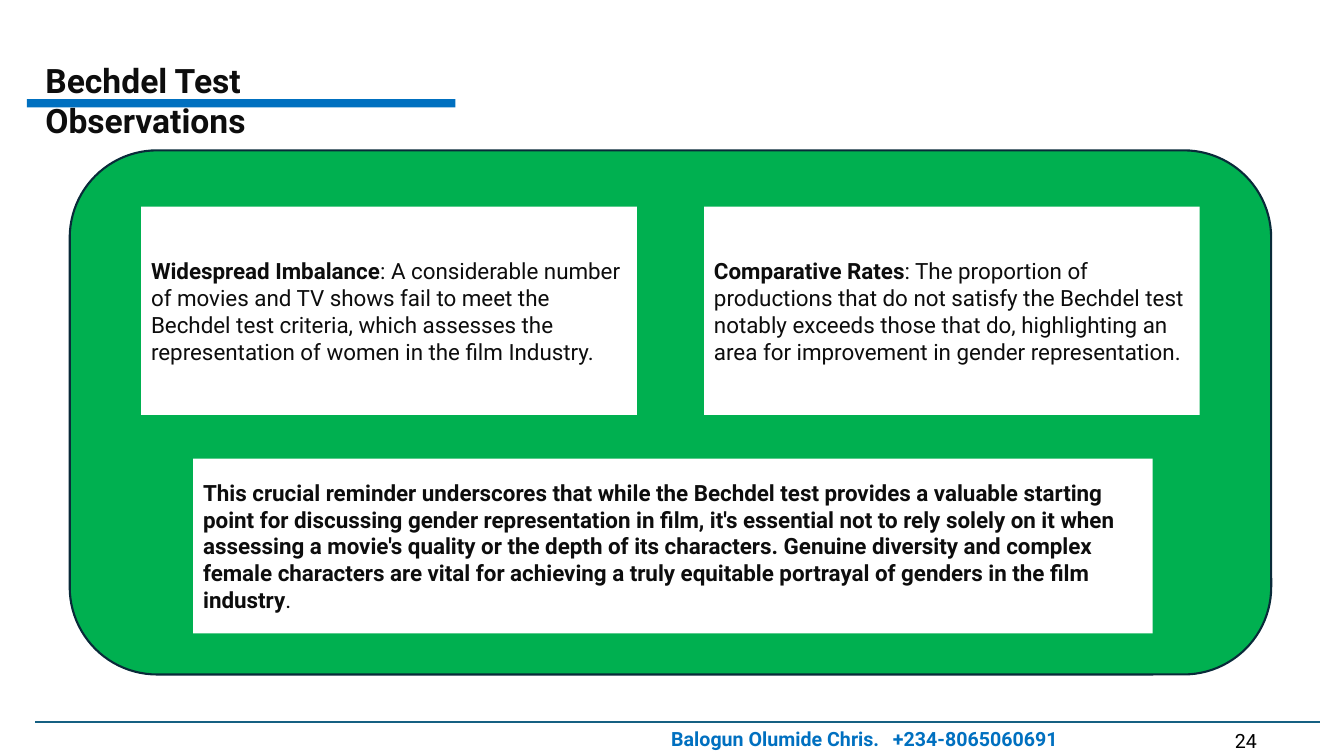
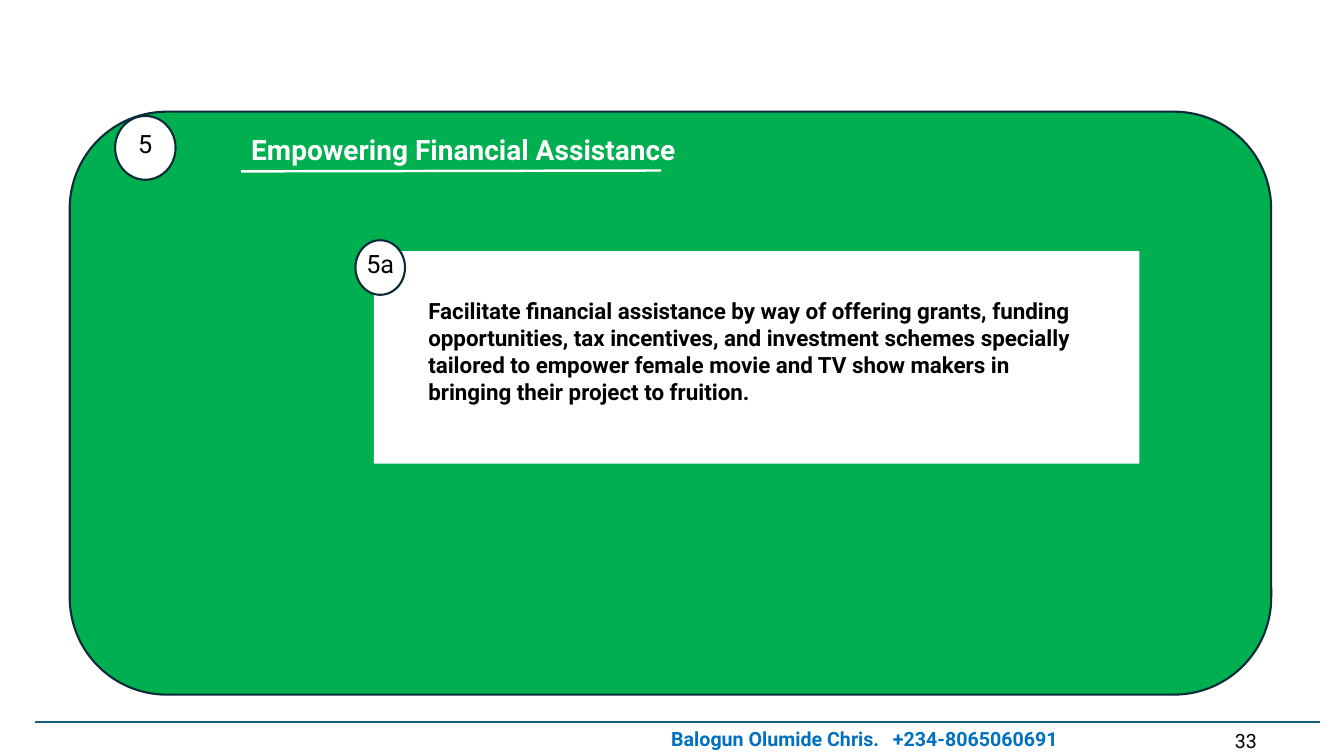
from dataclasses import dataclass

from lxml import etree
from pptx import Presentation
from pptx import util as u
from pptx.dml.color import RGBColor
from pptx.enum import shapes, text
from pptx.oxml.ns import qn

SLIDE_WIDTH = u.Inches(13.33)
SLIDE_HEIGHT = u.Inches(7.5)
CELL = SLIDE_HEIGHT / 90

FONT = "Roboto"
WHITE = RGBColor(0xFF, 0xFF, 0xFF)
BLACK = RGBColor(0, 0, 0)
INK = RGBColor(0x0D, 0x0D, 0x0D)
GREEN = RGBColor(0x00, 0xB0, 0x50)
BLUE = RGBColor(0x00, 0x70, 0xC0)
TEAL = RGBColor(0x15, 0x60, 0x82)
OUTLINE = RGBColor(0x09, 0x2A, 0x39)

RECTANGLE = shapes.MSO_SHAPE.RECTANGLE
ROUNDED = shapes.MSO_SHAPE.ROUNDED_RECTANGLE
OVAL = shapes.MSO_SHAPE.OVAL
TOP = text.MSO_ANCHOR.TOP
MIDDLE = text.MSO_ANCHOR.MIDDLE
LEFT = text.PP_ALIGN.LEFT
CENTER = text.PP_ALIGN.CENTER


@dataclass
class Box:
    column: float
    row: float
    columns: float
    rows: float

    def inner(self, column, row, columns, rows):
        return Box(self.column + column, self.row + row, columns, rows)

    def lengths(self):
        return [round(value * CELL) for value in (self.column, self.row, self.columns, self.rows)]


PAGE = Box(0, 0, 160, 90)


def write(shape, runs, size, color, anchor=TOP, align=LEFT, wrap=True):
    frame = shape.text_frame
    frame.word_wrap = wrap
    frame.auto_size = text.MSO_AUTO_SIZE.NONE
    frame.vertical_anchor = anchor
    paragraph = frame.paragraphs[0]
    paragraph.alignment = align
    paragraph.line_spacing = 1.0
    for words, bold in runs:
        run = paragraph.add_run()
        run.text = words
        run.font.name = FONT
        run.font.size = u.Pt(size)
        run.font.bold = bold
        run.font.color.rgb = color
    return paragraph


def add_block(slide, box, kind, fill, outline=None):
    shape = slide.shapes.add_shape(kind, *box.lengths())
    shape.shadow.inherit = False
    shape.fill.solid()
    shape.fill.fore_color.rgb = fill
    if outline is None:
        shape.line.fill.background()
    else:
        shape.line.color.rgb = outline
        shape.line.width = u.Pt(1.5)
    return shape


def add_label(slide, box, words, size, color, bold=False):
    label = slide.shapes.add_textbox(*box.lengths())
    return write(label, [(words, bold)], size, color)


def add_rule(slide, box, color, width):
    left, top, across, down = box.lengths()
    rule = slide.shapes.add_connector(
        shapes.MSO_CONNECTOR.STRAIGHT, left, top, left + across, top + down)
    rule.line.color.rgb = color
    rule.line.width = u.Pt(width)
    etree.SubElement(rule._element.spPr, qn("a:effectLst"))


def add_title(slide, box, words, size, color):
    title = slide.shapes.title
    title.left, title.top, title.width, title.height = box.lengths()
    write(title, [(words, True)], size, color)
    tree = title._element.getparent()
    tree.append(title._element)


def add_panel(slide, box):
    add_block(slide, box, ROUNDED, GREEN, OUTLINE)


def add_card(slide, box, runs):
    card = add_block(slide, box, RECTANGLE, WHITE)
    write(card, runs, 16, INK, MIDDLE)


def add_badge(slide, box, words):
    badge = add_block(slide, box, OVAL, WHITE, OUTLINE)
    write(badge, [(words, False)], 18, BLACK, MIDDLE, CENTER, wrap=False)
    frame = badge.text_frame
    frame.margin_left = frame.margin_right = frame.margin_top = 0
    frame.margin_bottom = u.Inches(0.09)


def add_footer(slide, box, number):
    add_rule(slide, box.inner(0, 0, box.columns, 0), TEAL, 1.5)
    contact = add_label(slide, box.inner(74.5, 0, 49, 4.1),
                        "Balogun Olumide Chris.\t+234-8065060691", 14, BLUE, True)
    tabs = etree.SubElement(contact._p.get_or_add_pPr(), qn("a:tabLst"))
    etree.SubElement(tabs, qn("a:tab"), pos=str(u.Inches(2.2)), algn="l")
    add_label(slide, box.inner(141.6, 0.3, 5.6, 4.1), str(number), 14, BLACK)


def add_page(presentation, number):
    slide = presentation.slides.add_slide(presentation.slide_layouts[5])
    add_footer(slide, PAGE.inner(4.2, 85.9, 152.9, 4.1), number)
    return slide


def add_observations(slide, panel, cards, conclusion):
    add_panel(slide, panel)
    margin, width = 8.5, 59
    step = panel.columns - 2 * margin - width
    for index, runs in enumerate(cards):
        add_card(slide, panel.inner(margin + index * step, 6.7, width, 24.8), runs)
    add_card(slide, panel.inner(14.7, 36.7, 114.2, 20.8), conclusion)


def add_underlined_title(slide, box, words):
    add_title(slide, box, words, 24, INK)
    add_block(slide, box.inner(-1, 5.3, 51, 1), RECTANGLE, BLUE)


def add_recommendation(slide, panel, number, heading, details):
    add_panel(slide, panel)
    add_badge(slide, panel.inner(5.4, 0.5, 7.2, 7.6), number)
    add_title(slide, panel.inner(20.4, 1.9, 79.7, 5.3), heading, 20, WHITE)
    add_rule(slide, panel.inner(20.4, 7.1, 50, -0.1), WHITE, 1.75)
    card = panel.inner(36.2, 16.6, 91.1, 25.3)
    add_block(slide, card, RECTANGLE, WHITE)
    add_badge(slide, card.inner(-2.2, -1.3, 5.9, 6.5), number + "a")
    add_label(slide, card.inner(5.3, 4.9, 79.7, 14.2), details, 16, BLACK, True)


def main():
    presentation = Presentation()
    presentation.slide_width = SLIDE_WIDTH
    presentation.slide_height = SLIDE_HEIGHT

    slide = add_page(presentation, 24)
    add_underlined_title(slide, PAGE.inner(4.2, 6.5, 47, 6), "Bechdel Test Observations")
    add_observations(
        slide, PAGE.inner(8.3, 17.9, 143, 62.4),
        [
            [("Widespread Imbalance", True),
             (": A considerable number of movies and TV shows fail to meet the Bechdel test "
              "criteria, which assesses the representation of women in the film Industry.", False)],
            [("Comparative Rates", True),
             (": The proportion of productions that do not satisfy the Bechdel test notably "
              "exceeds those that do, highlighting an area for improvement in gender "
              "representation.", False)],
        ],
        [("This crucial reminder underscores that while the Bechdel test provides a valuable "
          "starting point for discussing gender representation in film, it's essential not to "
          "rely solely on it when assessing a movie's quality or the depth of its characters. "
          "Genuine diversity and complex female characters are vital for achieving a truly "
          "equitable portrayal of genders in the film industry", True),
         (".", False)])

    slide = add_page(presentation, 33)
    add_recommendation(
        slide, PAGE.inner(8.3, 13.3, 143, 69.4), "5", "Empowering Financial Assistance",
        "Facilitate financial assistance by way of offering grants, funding opportunities, tax "
        "incentives, and investment schemes specially tailored to empower female movie and TV "
        "show makers in bringing their project to fruition.")

    presentation.save("out.pptx")


if __name__ == "__main__":
    main()
